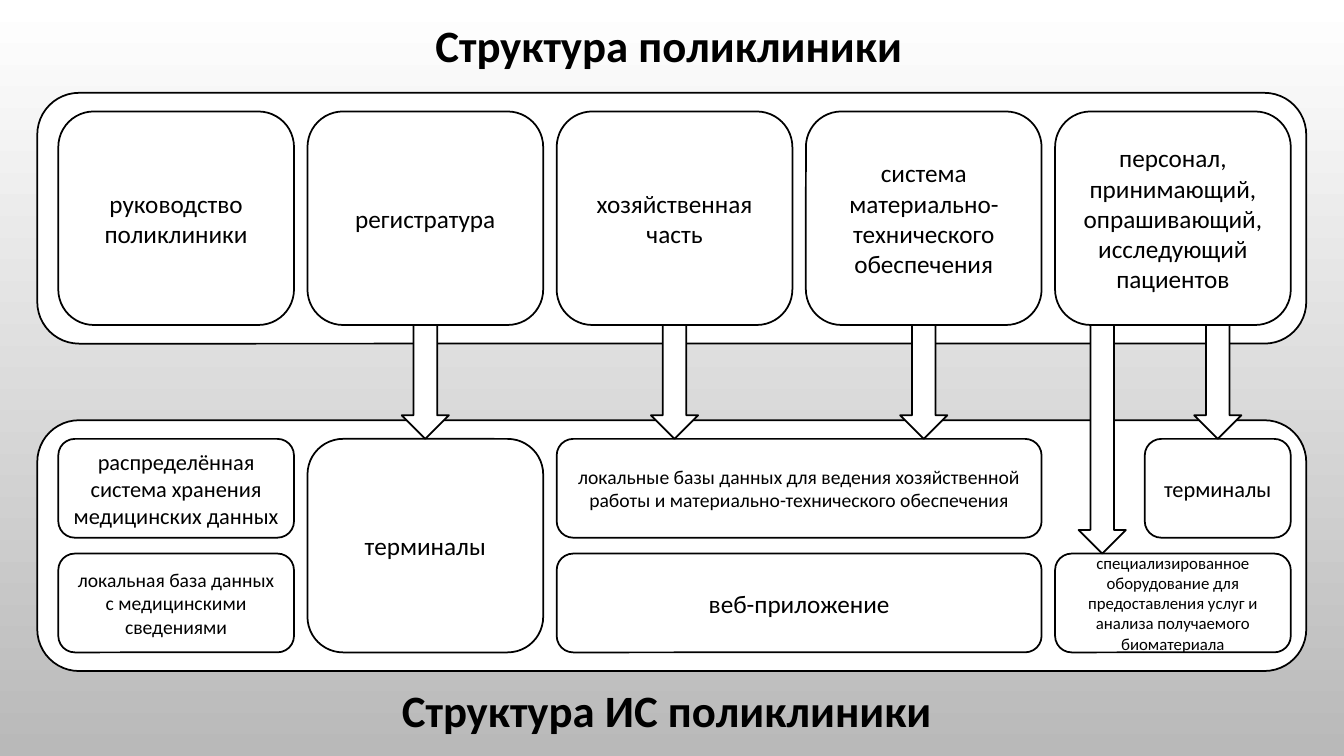
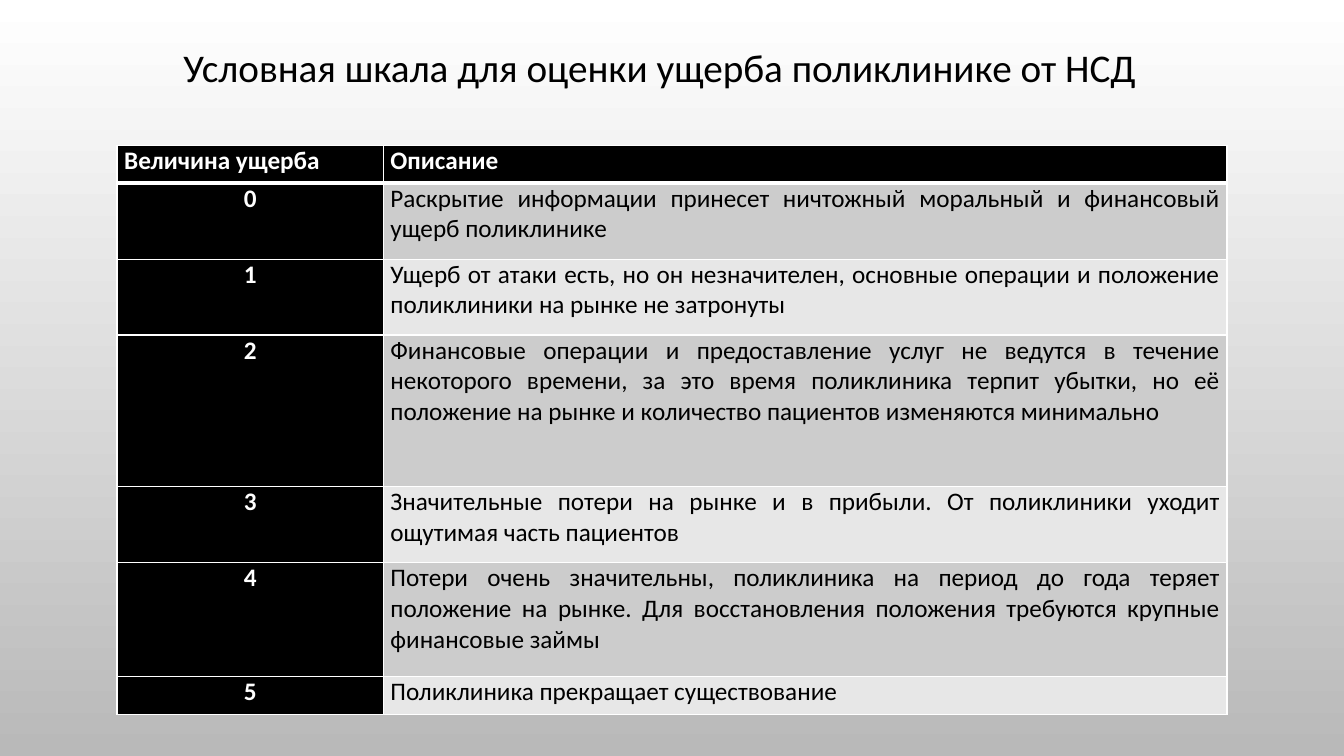
from pptx import Presentation
from pptx.dml.color import RGBColor
from pptx.enum.shapes import MSO_SHAPE
from pptx.enum.text import MSO_ANCHOR, MSO_AUTO_SIZE, PP_ALIGN
from pptx.util import Cm, Pt
from lxml import etree

ROUND, ARROW = MSO_SHAPE.ROUNDED_RECTANGLE, MSO_SHAPE.DOWN_ARROW
LEFT, CENTER, JUSTIFY = PP_ALIGN.LEFT, PP_ALIGN.CENTER, PP_ALIGN.JUSTIFY
TOP, MIDDLE = MSO_ANCHOR.TOP, MSO_ANCHOR.MIDDLE
FIXED = MSO_AUTO_SIZE.NONE

FONT, BLACK, WHITE, GREY = "Calibri", "000000", "FFFFFF", "B9B9B9"
BANDS = "CCCCCC", "E7E7E7"
NS = "http://schemas.openxmlformats.org/drawingml/2006/main"

# Content
UNITS = [
    "руководство поликлиники",
    "регистратура",
    "хозяйственная часть",
    "система материально-технического обеспечения",
    "персонал, принимающий, опрашивающий, исследующий пациентов",
]
# text, size, column, columns spanned, row, rows spanned
SYSTEMS = [
    ("распределённая система хранения медицинских данных", 16, 0, 1, 0, 1),
    ("локальная база данных с медицинскими сведениями", 14, 0, 1, 1, 1),
    ("терминалы", 18, 1, 1, 0, 2),
    ("локальные базы данных для ведения хозяйственной работы "
     "и материально-технического обеспечения", 14, 2, 2, 0, 1),
    ("веб-приложение", 18, 2, 2, 1, 1),
    ("специализированное оборудование для предоставления услуг "
     "и анализа получаемого биоматериала", 12, 4, 1, 1, 1),
]
HEADS = "Величина ущерба", "Описание"
# description, row height in lines
SCALE = [
    ("Раскрытие информации принесет ничтожный моральный и финансовый ущерб "
     "поликлинике", 2),
    ("Ущерб от атаки есть, но он незначителен, основные операции и положение "
     "поликлиники на рынке не затронуты", 2),
    ("Финансовые операции и предоставление услуг не ведутся в течение "
     "некоторого времени, за это время поликлиника терпит убытки, но её "
     "положение на рынке и количество пациентов изменяются минимально", 4),
    ("Значительные потери на рынке и в прибыли. От поликлиники уходит "
     "ощутимая часть пациентов", 2),
    ("Потери очень значительны, поликлиника на период до года теряет "
     "положение на рынке. Для восстановления положения требуются крупные "
     "финансовые займы", 3),
    ("Поликлиника прекращает существование", 1),
]

# Diagram grid, cm
PANEL_X, PANEL_W, PANEL_H = 0.94, 31.98, 6.32
UPPER, LOWER = 2.34, 10.59
PAD = 0.47
COL_X, BOX_W, STEP = 1.47, 5.94, 6.28
BOX_H, GAP = PANEL_H - 2 * PAD, 0.4
HALF = (BOX_H - GAP) / 2
SMALL_W, ARROW_W = 3.68, 1.19


def color(code):
    return RGBColor.from_string(code)


def write(frame, text, size=18, ink=BLACK, bold=False, align=CENTER,
          anchor=MIDDLE):
    frame.word_wrap = True
    frame.vertical_anchor = anchor
    para = frame.paragraphs[0]
    para.alignment = align
    run = para.add_run()
    run.text = text
    font = run.font
    font.name, font.size, font.bold = FONT, Pt(size), bold
    font.color.rgb = color(ink)


def place(shape, x, y, w, h):
    shape.left, shape.top, shape.width, shape.height = map(Cm, (x, y, w, h))


def head(shape, text, size, x, y, w, h, bold=False):
    place(shape, x, y, w, h)
    shape.text_frame.auto_size = FIXED
    write(shape.text_frame, text, size=size, bold=bold, align=LEFT, anchor=TOP)


def draw(slide, kind, x, y, w, h, text="", size=18):
    shape = slide.shapes.add_shape(kind, Cm(x), Cm(y), Cm(w), Cm(h))
    shape.shadow.inherit = False
    shape.fill.solid()
    shape.fill.fore_color.rgb = color(WHITE)
    shape.line.color.rgb = color(BLACK)
    shape.line.width = Pt(1.25)
    if text:
        write(shape.text_frame, text, size=size)


def col(num):
    return COL_X + num * STEP


def scheme(deck):
    slide = deck.slides.add_slide(deck.slide_layouts[5])
    head(slide.shapes.title, "Структура поликлиники", 32,
         10.72, 0.33, 12.42, 1.63, bold=True)
    for y in (UPPER, LOWER):
        draw(slide, ROUND, PANEL_X, y, PANEL_W, PANEL_H)
    for num, text in enumerate(UNITS):
        draw(slide, ROUND, col(num), UPPER + PAD, BOX_W, BOX_H, text)

    base = LOWER + PAD
    for text, size, num, wide, row, tall in SYSTEMS:
        draw(slide, ROUND, col(num), base + row * (HALF + GAP),
             BOX_W + (wide - 1) * STEP, tall * HALF + (tall - 1) * GAP,
             text, size)
    small = col(4) + BOX_W - SMALL_W
    draw(slide, ROUND, small, base, SMALL_W, HALF, "терминалы", 16)

    start = UPPER + PAD + BOX_H
    ends = [(col(num) + BOX_W / 2, base) for num in (1, 2, 3)]
    ends += [(col(4) + BOX_W / 5, base + HALF + GAP),
             (small + SMALL_W / 2, base)]
    for mid, end in ends:
        draw(slide, ARROW, mid - ARROW_W / 2, start, ARROW_W, end - start)

    foot = slide.shapes.add_textbox(0, 0, 0, 0)
    head(foot, "Структура ИС поликлиники", 32,
         9.88, 17.07, 14.1, 1.63, bold=True)


def border(cell, **sides):
    """Draw white cell edges; widths in points by side L, R, T, B."""
    props = cell._tc.get_or_add_tcPr()
    for side, width in sides.items():
        line = etree.SubElement(props, f"{{{NS}}}ln{side}", w=str(Pt(width)))
        fill = etree.SubElement(line, f"{{{NS}}}solidFill")
        etree.SubElement(fill, f"{{{NS}}}srgbClr", val=WHITE)


def damage(deck):
    slide = deck.slides.add_slide(deck.slide_layouts[5])
    head(slide.shapes.title, "Условная шкала для оценки ущерба поликлинике от НСД",
         28, 4.37, 0.97, 25.1, 1.45)
    rows = [(HEADS, 1)]
    rows += [((str(num), text), lines)
             for num, (text, lines) in enumerate(SCALE)]
    widths, high = (6.71, 21.26), 14.35
    unit = high / sum(lines for _, lines in rows)
    table = slide.shapes.add_table(len(rows), 2, Cm(2.95), Cm(3.66),
                                   Cm(sum(widths)), Cm(high)).table
    for part, width in zip(table.columns, widths):
        part.width = Cm(width)
    for r, (texts, lines) in enumerate(rows):
        table.rows[r].height = Cm(unit * lines)
        for c, text in enumerate(texts):
            cell = table.cell(r, c)
            dark = r == 0 or c == 0
            border(cell, L=1, R=1, T=3 if r == 1 else 1, B=3 if r == 0 else 1)
            cell.fill.solid()
            cell.fill.fore_color.rgb = color(BLACK if dark else BANDS[(r - 1) % 2])
            cell.margin_left = cell.margin_right = Cm(0.18)
            cell.margin_top = cell.margin_bottom = 0
            write(cell.text_frame, text, ink=WHITE if dark else BLACK, bold=dark,
                  align=CENTER if r and c == 0 else JUSTIFY, anchor=TOP)


def main():
    deck = Presentation()
    deck.slide_width, deck.slide_height = Cm(33.87), Cm(19.05)
    back = deck.slide_master.background.fill
    back.gradient()
    back.gradient_angle = 270
    for stop, place_at, code in zip(back.gradient_stops, (0, 1), (WHITE, GREY)):
        stop.position = place_at
        stop.color.rgb = color(code)
    scheme(deck)
    damage(deck)
    deck.save("out.pptx")


if __name__ == "__main__":
    main()
